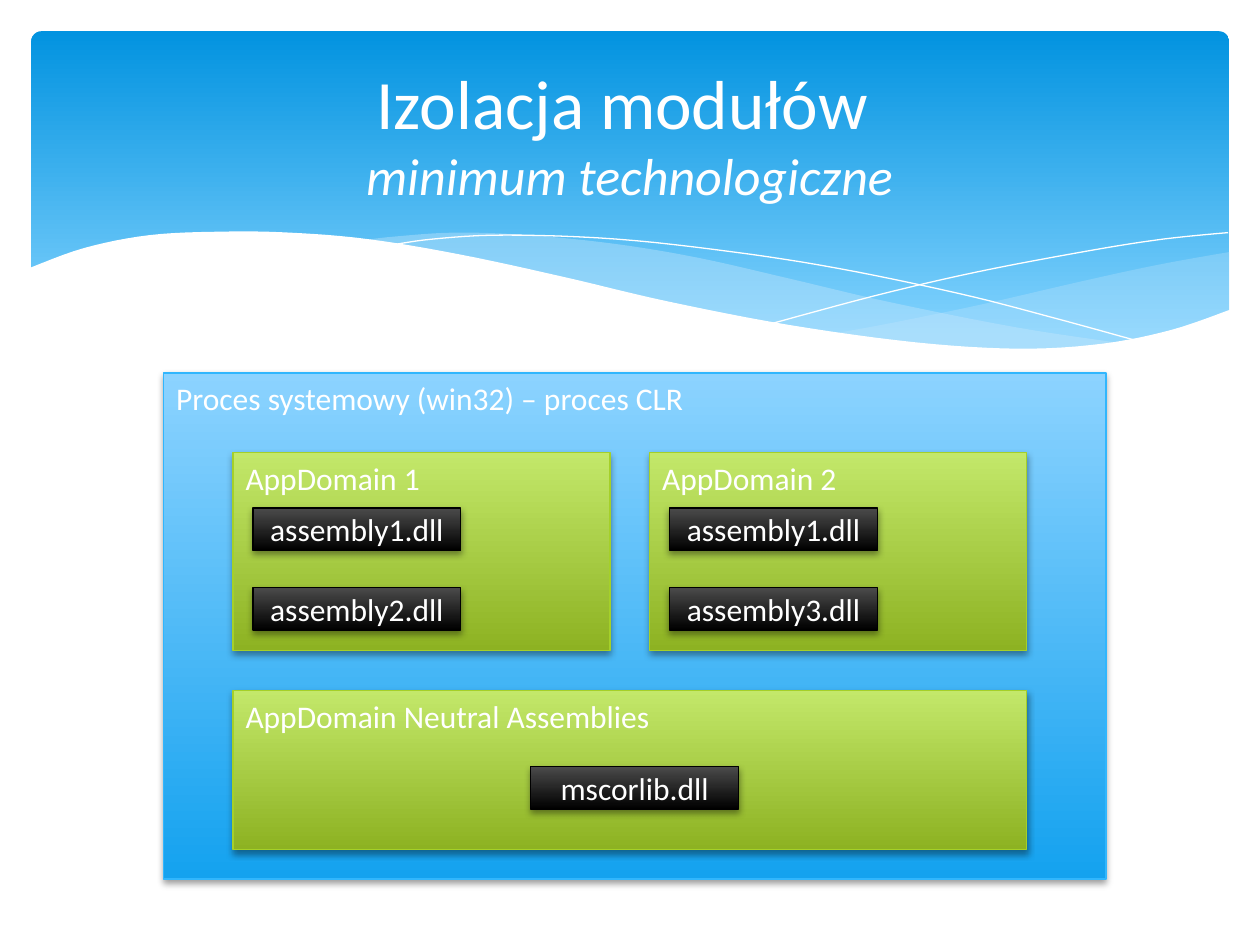
from dataclasses import dataclass
from itertools import chain

from lxml.etree import SubElement
from pptx import Presentation
from pptx.dml.color import RGBColor
from pptx.enum.shapes import MSO_SHAPE as Preset
from pptx.enum.text import MSO_ANCHOR as Anchor, MSO_AUTO_SIZE as AutoSize, PP_ALIGN as Align
from pptx.oxml.ns import qn
from pptx.util import Cm, Pt


@dataclass(frozen=True)
class Theme:
    font: str = "Calibri"
    text: str = "FFFFFF"
    paper: str = "FFFFFF"
    veil: str = "C6E7FC"
    banner: tuple = ("0293E0", "83D3FE")
    process: tuple = ("8CD3FF", "14A2EF", "31B6FD")
    domain: tuple = ("C3E86A", "8DB222", "A5D028")
    assembly: tuple = ("4B4B4B", "000000", "000000")
    shadow: str = "000000"
    title_size: float = 39.6
    subtitle_size: float = 29.7
    label_size: float = 18


@dataclass(frozen=True)
class Box:
    left: float
    top: float
    width: float
    height: float

    def inner(self, left, top, width, height):
        return Box(self.left + left, self.top + top, width, height)

    def lengths(self):
        return [Cm(side) for side in (self.left, self.top, self.width, self.height)]


THEME = Theme()

WAVE_CREST = [(24.18, 5.61), (22.99, 6.02), (21.59, 6.3), (19.91, 6.4), (17.81, 6.27),
              (15.27, 5.92), (12.8, 5.44), (10.72, 4.95), (8.64, 4.5), (6.78, 4.19),
              (5.21, 4.06), (3.86, 4.04), (2.39, 4.11), (1.07, 4.37), (-0.05, 4.78)]
WAVE_BASE = [(-0.05, 7.72), (24.18, 7.72)]
RIGHT_VEIL_TOP = [(24.16, 4.45), (22.76, 4.7), (21.23, 5.03), (19.15, 5.51),
                  (17.3, 5.89), (16.15, 6.1)]
RIGHT_VEIL_BOTTOM = [(16.15, 6.1), (17.63, 6.27), (19.76, 6.43), (21.51, 6.32),
                     (22.94, 6.05), (24.16, 5.64)]
LEFT_VEIL_TOP = [(22.05, 6.3), (19.86, 5.97), (17.3, 5.46), (15.34, 5), (13.46, 4.57),
                 (11.79, 4.29), (10.03, 4.11), (8.53, 4.06), (7.32, 4.14), (6.63, 4.22)]
LEFT_VEIL_BOTTOM = [(6.63, 4.22), (8.56, 4.52), (10.77, 5), (12.83, 5.46), (15.06, 5.92),
                    (17.37, 6.27), (19.3, 6.43), (20.65, 6.43), (22.05, 6.3)]
FALLING_LINE = [(7.21, 4.32), (8.1, 4.19), (9.55, 4.11), (11.79, 4.19), (14.15, 4.45),
                (16.26, 4.78), (18.67, 5.28), (20.47, 5.74), (22.4, 6.27)]
RISING_LINE = [(14.94, 5.89), (17.02, 5.33), (19.08, 4.85), (21.36, 4.42),
               (22.83, 4.19), (24.13, 4.06)]


def rgb(code):
    return RGBColor.from_string(code)


def set_gradient(shape, top, bottom, end=1):
    shape.fill.gradient()
    shape.fill.gradient_angle = 270
    for stop, code, position in zip(shape.fill.gradient_stops, (top, bottom), (0, end)):
        stop.color.rgb = rgb(code)
        stop.position = position


def set_opacity(color, percent):
    SubElement(color, qn("a:alpha"), val=str(percent * 1000))


def add_shadow(shape):
    shape.shadow.inherit = False
    effects = shape._element.spPr.find(qn("a:effectLst"))
    outer = SubElement(effects, qn("a:outerShdw"), blurRad=str(Pt(4)), dist=str(Pt(2)),
                       dir="5400000", rotWithShape="0")
    set_opacity(SubElement(outer, qn("a:srgbClr"), val=THEME.shadow), 38)


def smooth(knots, steps=6):
    padded = [knots[0], *knots, knots[-1]]
    points = [knots[0]]
    for before, start, end, after in zip(padded, padded[1:], padded[2:], padded[3:]):
        for t in (step / steps for step in range(1, steps + 1)):
            points.append(tuple(
                b + (c - a) * t / 2 + (a - 2.5 * b + 2 * c - d / 2) * t ** 2
                + (3 * b - a - 3 * c + d) * t ** 3 / 2
                for a, b, c, d in zip(before, start, end, after)))
    return points


def add_outline(slide, box, points, closed):
    start, *rest = [(Cm(box.left + x), Cm(box.top + y)) for x, y in points]
    builder = slide.shapes.build_freeform(*start)
    builder.add_line_segments(rest, close=closed)
    outline = builder.convert_to_shape()
    outline.shadow.inherit = False
    return outline


def add_area(slide, box, edges, color, opacity=100):
    area = add_outline(slide, box, list(chain(*edges)), True)
    area.fill.solid()
    area.fill.fore_color.rgb = rgb(color)
    if opacity < 100:
        set_opacity(area._element.spPr.find(qn("a:solidFill"))[0], opacity)
    area.line.fill.background()


def add_banner(slide, box):
    backdrop = slide.shapes.add_shape(Preset.ROUNDED_RECTANGLE, *box.lengths())
    backdrop.adjustments[0] = 0.03
    backdrop.shadow.inherit = False
    set_gradient(backdrop, *THEME.banner, end=0.9)
    backdrop.line.fill.background()

    add_area(slide, box, [smooth(RIGHT_VEIL_TOP), smooth(RIGHT_VEIL_BOTTOM)], THEME.veil, 29)
    add_area(slide, box, [smooth(LEFT_VEIL_TOP), smooth(LEFT_VEIL_BOTTOM)], THEME.veil, 40)
    for knots in (FALLING_LINE, RISING_LINE):
        strand = add_outline(slide, box, smooth(knots), False)
        strand.fill.background()
        strand.line.color.rgb = rgb(THEME.paper)
        strand.line.width = Pt(0)
    add_area(slide, box, [smooth(WAVE_CREST), WAVE_BASE], THEME.paper)


def add_title(slide, box, heading, subheading):
    title = slide.shapes.title
    title.left, title.top, title.width, title.height = box.lengths()
    slide.shapes._spTree.append(title._element)
    frame = title.text_frame
    frame.auto_size = AutoSize.NONE
    frame.vertical_anchor = Anchor.MIDDLE
    paragraph = frame.paragraphs[0]
    paragraph.alignment = Align.CENTER
    paragraph.font.name = THEME.font
    paragraph.font.color.rgb = rgb(THEME.text)
    heading_run = paragraph.add_run()
    heading_run.text = heading
    heading_run.font.size = Pt(THEME.title_size)
    paragraph.add_line_break()
    subheading_run = paragraph.add_run()
    subheading_run.text = subheading
    subheading_run.font.size = Pt(THEME.subtitle_size)
    subheading_run.font.italic = True


def add_block(slide, box, label, colors, anchor=Anchor.TOP, align=Align.LEFT):
    block = slide.shapes.add_shape(Preset.RECTANGLE, *box.lengths())
    top, bottom, edge = colors
    set_gradient(block, top, bottom)
    block.line.color.rgb = rgb(edge)
    block.line.width = Pt(0.75)
    add_shadow(block)
    frame = block.text_frame
    frame.text = label
    frame.vertical_anchor = anchor
    paragraph = frame.paragraphs[0]
    paragraph.alignment = align
    paragraph.font.name = THEME.font
    paragraph.font.size = Pt(THEME.label_size)
    paragraph.font.color.rgb = rgb(THEME.text)


def add_domain(slide, box, label, assemblies, left=0.4, top=1.12):
    add_block(slide, box, label, THEME.domain)
    for row, assembly in enumerate(assemblies):
        add_block(slide, box.inner(left, top + row * 1.6, 4.19, 0.86), assembly,
                  THEME.assembly, Anchor.MIDDLE, Align.CENTER)


def add_process(slide, box):
    add_block(slide, box, "Proces systemowy (win32) – proces CLR", THEME.process)
    domains = [("AppDomain 1", ["assembly1.dll", "assembly2.dll"]),
               ("AppDomain 2", ["assembly1.dll", "assembly3.dll"])]
    for column, (label, assemblies) in enumerate(domains):
        add_domain(slide, box.inner(1.4 + column * 8.4, 1.6, 7.6, 4), label, assemblies)
    add_domain(slide, box.inner(1.4, 6.4, 16, 3.2), "AppDomain Neutral Assemblies",
               ["mscorlib.dll"], left=6, top=1.53)


def main():
    deck = Presentation()
    deck.slide_width, deck.slide_height = Cm(25.4), Cm(19.05)
    slide = deck.slides.add_slide(deck.slide_layouts[5])
    add_banner(slide, Box(0.63, 0.63, 24.15, 6.86))
    add_title(slide, Box(1.27, 0.95, 22.86, 3.48), "Izolacja modułów ", "minimum technologiczne")
    add_process(slide, Box(3.3, 7.52, 19, 10.2))
    deck.save("out.pptx")


if __name__ == "__main__":
    main()
